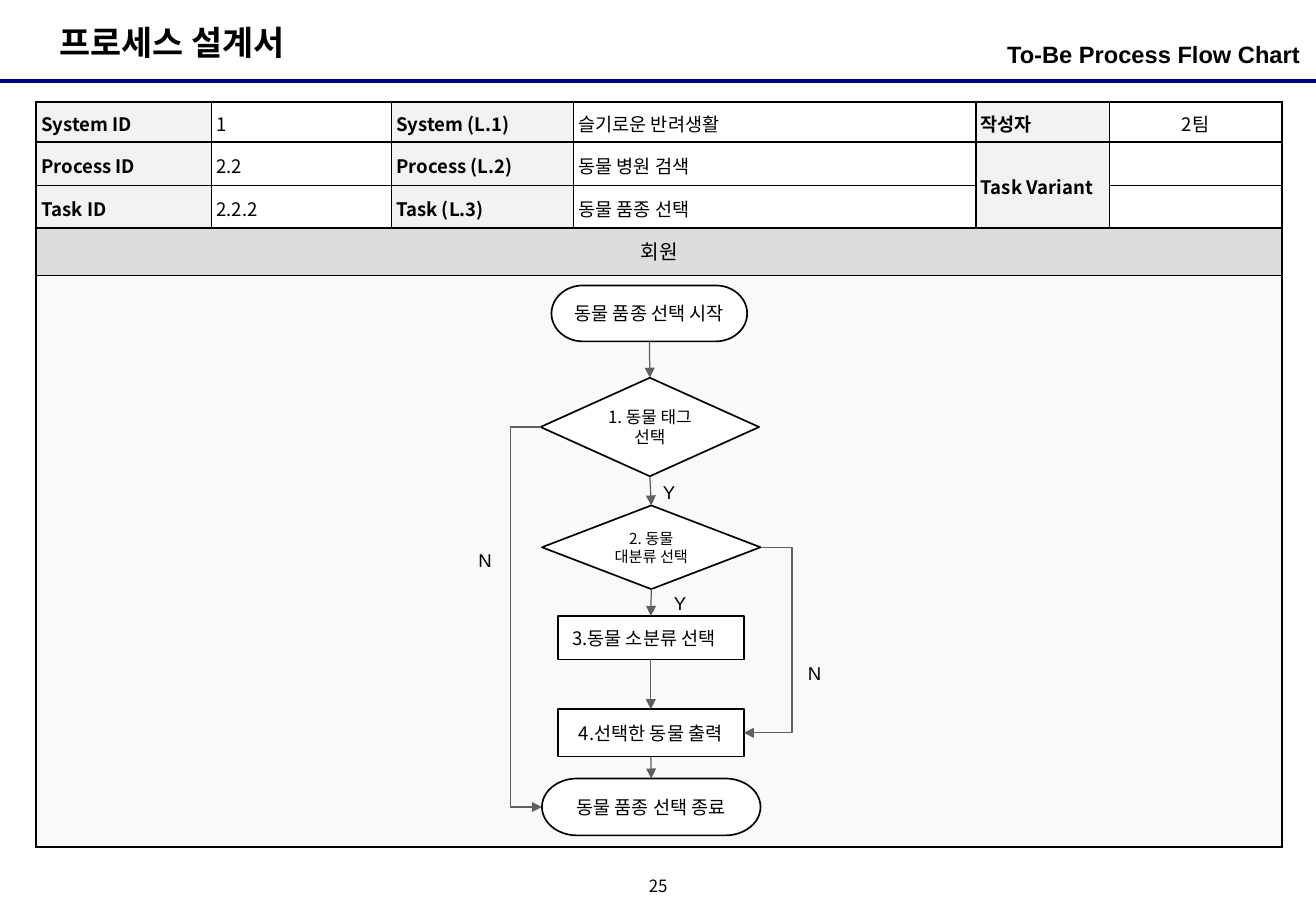
from lxml import etree
from pptx import Presentation
from pptx.dml.color import RGBColor
from pptx.enum.shapes import MSO_CONNECTOR, MSO_SHAPE
from pptx.enum.text import MSO_ANCHOR, MSO_AUTO_SIZE, PP_ALIGN
from pptx.oxml.ns import qn
from pptx.util import Cm, Pt

STRAIGHT, ELBOW = MSO_CONNECTOR.STRAIGHT, MSO_CONNECTOR.ELBOW
TERMINATOR = MSO_SHAPE.FLOWCHART_TERMINATOR
DIAMOND, RECTANGLE = MSO_SHAPE.DIAMOND, MSO_SHAPE.RECTANGLE
TOP_ANCHOR, MIDDLE = MSO_ANCHOR.TOP, MSO_ANCHOR.MIDDLE
LEFT, CENTER, RIGHT = PP_ALIGN.LEFT, PP_ALIGN.CENTER, PP_ALIGN.RIGHT
TOP_SITE, LEFT_SITE, BOTTOM_SITE, RIGHT_SITE = range(4)
ARIAL, NOTO = "Arial", "Noto Sans CJK KR"
BLACK, WHITE, GRAY, NAVY = "000000", "FFFFFF", "5F5F5F", "000080"
LABEL_FILL, LANE_FILL, CANVAS_FILL = "F2F2F2", "DDDDDD", "F9F9F9"


def rgb(color):
    return RGBColor.from_string(color)


class FlowSlide:
    """Holds the slide and the shared style of the process flow chart."""

    def __init__(self, presentation):
        self.slide = presentation.slides.add_slide(presentation.slide_layouts[1])
        self.shapes = self.slide.shapes

    def set_text(self, frame, text, size, font=NOTO, bold=False, align=LEFT,
                 anchor=MIDDLE, spacing=1.0):
        frame.text = text
        frame.vertical_anchor = anchor
        paragraph = frame.paragraphs[0]
        paragraph.alignment = align
        paragraph.line_spacing = spacing
        paragraph.space_before = Pt(0)
        for run in paragraph.runs:
            run.font.size = Pt(size)
            run.font.bold = bold
            run.font.name = font
            run.font.color.rgb = rgb(BLACK)
            east_asian = etree.SubElement(run._r.get_or_add_rPr(), qn("a:ea"))
            east_asian.set("typeface", NOTO)

    def inset(self, box, horizontal, vertical):
        box.margin_left = box.margin_right = Cm(horizontal)
        box.margin_top = box.margin_bottom = Cm(vertical)

    def placeholder(self, index, text, place, size, horizontal, align):
        shape = self.slide.placeholders[index]
        shape.left, shape.top, shape.width, shape.height = map(Cm, place)
        frame = shape.text_frame
        frame.auto_size = MSO_AUTO_SIZE.NONE
        self.inset(frame, horizontal, 0.13)
        self.set_text(frame, text, size, ARIAL, True, align, TOP_ANCHOR)
        if index:
            properties = frame.paragraphs[0]._p.get_or_add_pPr()
            properties.set("marL", "0")
            properties.set("indent", "0")
            etree.SubElement(properties, qn("a:buNone"))

    def text(self, text, place, size, font=ARIAL, margin=0.25, align=LEFT,
             anchor=TOP_ANCHOR):
        frame = self.shapes.add_textbox(*map(Cm, place)).text_frame
        frame.word_wrap = True
        self.inset(frame, margin, margin)
        self.set_text(frame, text, size, font, align=align, anchor=anchor)

    def step(self, kind, text, place, size=11, font=NOTO, align=CENTER,
             margins=(0.05, 0), indent=0):
        shape = self.shapes.add_shape(kind, *map(Cm, place))
        shape.shadow.inherit = False
        shape.fill.solid()
        shape.fill.fore_color.rgb = rgb(WHITE)
        shape.line.color.rgb = rgb(BLACK)
        shape.line.width = Pt(1)
        frame = shape.text_frame
        frame.word_wrap = True
        self.inset(frame, *margins)
        frame.margin_left += Cm(indent)
        self.set_text(frame, text, size, font, align=align)
        return shape

    def line(self, kind, start, end, color, width):
        connector = self.shapes.add_connector(kind, *map(Cm, start + end))
        connector.line.color.rgb = rgb(color)
        connector.line.width = Pt(width)
        etree.SubElement(connector._element.spPr, qn("a:effectLst"))
        return connector

    def arrow(self, source, target, source_site=BOTTOM_SITE, target_site=TOP_SITE,
              via=None):
        kind = STRAIGHT if via is None else ELBOW
        connector = self.line(kind, (0, 0), (1, 1), GRAY, 0.75)
        connector.begin_connect(source, source_site)
        connector.end_connect(target, target_site)
        outline = connector._element.spPr.find(qn("a:ln"))
        etree.SubElement(outline, qn("a:tailEnd"), type="triangle")
        if via is not None:
            span = connector.end_x - connector.begin_x
            bend = round((Cm(via) - connector.begin_x) / span * 100000)
            guides = connector._element.spPr.find(qn("a:prstGeom")).get_or_add_avLst()
            etree.SubElement(guides, qn("a:gd"), name="adj1", fmla=f"val {bend}")

    def table(self, left, top, widths, heights):
        frame = self.shapes.add_table(len(heights), len(widths), Cm(left), Cm(top),
                                      Cm(sum(widths)), Cm(sum(heights)))
        table = frame.table
        table.first_row = table.horz_banding = False
        for column, width in zip(table.columns, widths):
            column.width = Cm(width)
        for row, height in zip(table.rows, heights):
            row.height = Cm(height)
        return table

    def borders(self, table, inner):
        last_row, last_column = len(table.rows) - 1, len(table.columns) - 1
        for row in range(last_row + 1):
            for column in range(last_column + 1):
                properties = table.cell(row, column)._tc.get_or_add_tcPr()
                outer = {"L": column == 0, "R": column == last_column,
                         "T": row == 0, "B": row == last_row}
                for side, edge in outer.items():
                    width = str(Pt(1.5 if edge else inner))
                    border = etree.SubElement(properties, qn(f"a:ln{side}"), w=width)
                    fill = etree.SubElement(border, qn("a:solidFill"))
                    etree.SubElement(fill, qn("a:srgbClr"), val=BLACK)

    def cell(self, cell, text, fill, size=11, bold=False, align=LEFT, spacing=1.1):
        cell.fill.solid()
        cell.fill.fore_color.rgb = rgb(fill)
        self.inset(cell, 0.1, 0.1 if text else 0)
        cell.vertical_anchor = MIDDLE
        self.set_text(cell.text_frame, text, size, NOTO, bold, align, MIDDLE, spacing)


def main():
    presentation = Presentation()
    presentation.slide_width, presentation.slide_height = Cm(27.51), Cm(19.05)
    chart = FlowSlide(presentation)

    chart.line(STRAIGHT, (0, 1.7), (27.51, 1.7), NAVY, 2.25)
    chart.placeholder(0, "프로세스 설계서", (0.99, 0.33, 5.74, 1.12), 20, 0.25, LEFT)
    chart.placeholder(1, "To-Be Process Flow Chart", (18.77, 0.71, 8.41, 0.99), 14, 0,
                      RIGHT)
    chart.text("25", (13.34, 18.21, 0.84, 0.64), 10, NOTO, 0, CENTER, MIDDLE)

    lane = chart.table(0.76, 4.72, [26.04], [1.04, 11.96])
    chart.borders(lane, 0.75)
    chart.cell(lane.cell(0, 0), "회원", LANE_FILL, 12, align=CENTER, spacing=1.0)
    chart.cell(lane.cell(1, 0), "", CANVAS_FILL)

    header = chart.table(0.76, 2.13, [3.66, 3.76, 3.81, 8.41, 2.79, 3.61],
                         [0.84, 0.91, 0.89])
    chart.borders(header, 1)
    header_rows = [
        ("System ID", "1", "System (L.1)", "슬기로운 반려생활", "작성자", "2팀"),
        ("Process ID", "2.2", "Process (L.2)", "동물 병원 검색", "Task Variant", ""),
        ("Task ID", "2.2.2", "Task (L.3)", "동물 품종 선택", "", ""),
    ]
    for row, texts in enumerate(header_rows):
        for column, text in enumerate(texts):
            is_label = column % 2 == 0
            chart.cell(header.cell(row, column), text, LABEL_FILL if is_label else WHITE,
                       bold=is_label, align=CENTER if column == 5 else LEFT)
    header.cell(1, 4).merge(header.cell(2, 4))

    start = chart.step(TERMINATOR, "동물 품종 선택 시작", (11.53, 5.97, 4.09, 1.17),
                       font=ARIAL)
    tag = chart.step(DIAMOND, "1. 동물 태그 선택", (11.3, 7.9, 4.57, 2.06), 10,
                     margins=(0.25, 0.25))
    category = chart.step(DIAMOND, "2. 동물 대분류 선택", (11.33, 10.57, 4.57, 1.75), 9,
                          margins=(0.25, 0.25))
    subcategory = chart.step(RECTANGLE, "3.동물 소분류 선택", (11.66, 12.88, 3.89, 0.91),
                             align=LEFT, indent=0.25)
    output = chart.step(RECTANGLE, "4.선택한 동물 출력", (11.66, 14.83, 3.89, 0.99))
    end = chart.step(TERMINATOR, "동물 품종 선택 종료", (11.33, 16.28, 4.57, 1.19))

    flow = [start, tag, category, subcategory, output, end]
    for source, target in zip(flow, flow[1:]):
        chart.arrow(source, target)
    chart.arrow(tag, end, LEFT_SITE, LEFT_SITE, via=10.67)
    chart.arrow(category, output, RIGHT_SITE, RIGHT_SITE, via=16.56)

    answers = [("Y", 13.61, 9.83), ("N", 9.75, 11.25),
               ("Y", 13.84, 12.14), ("N", 16.64, 13.61)]
    for answer, left, top in answers:
        chart.text(answer, (left, top, 0.66, 0.99), 11)

    presentation.save("out.pptx")


if __name__ == "__main__":
    main()
